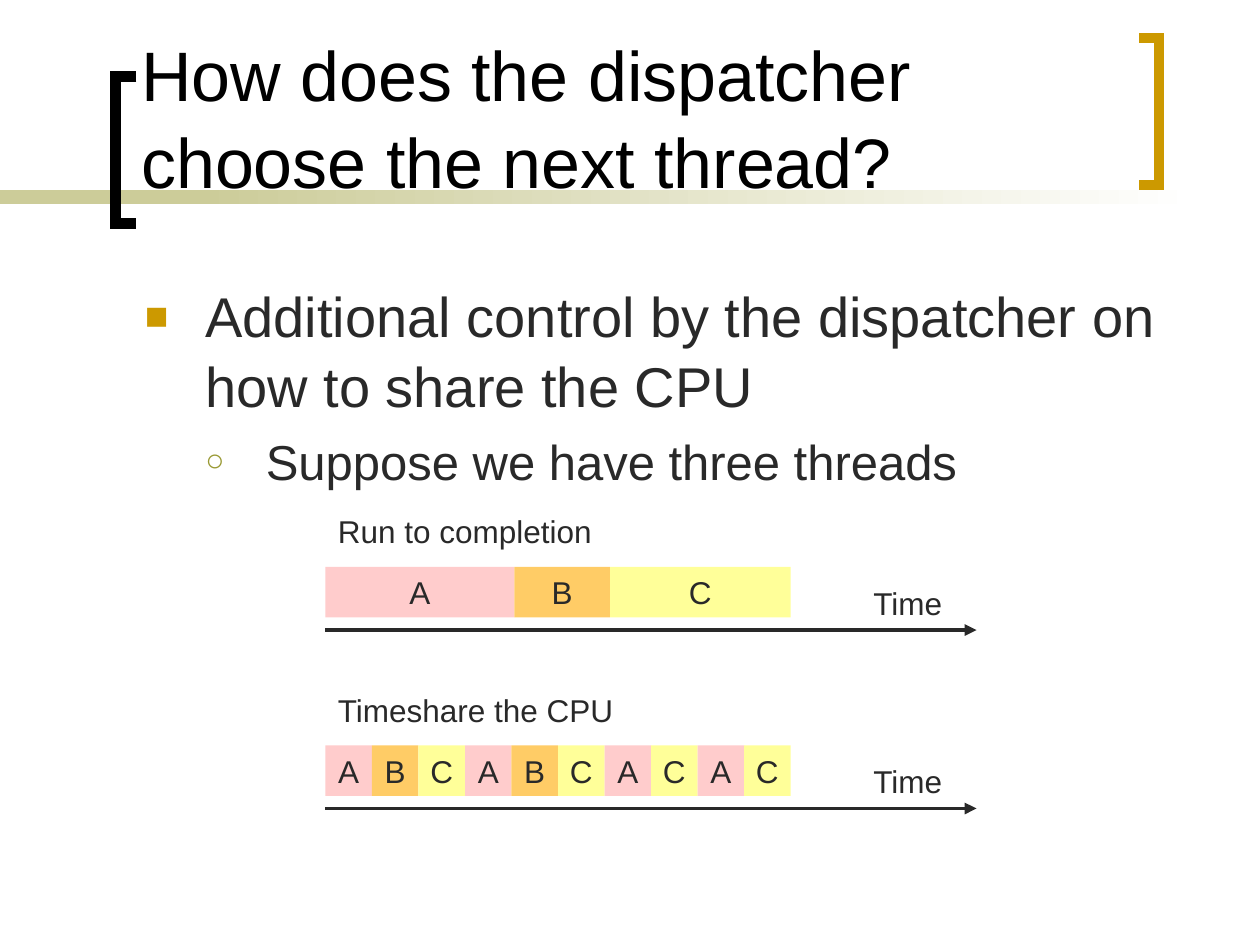
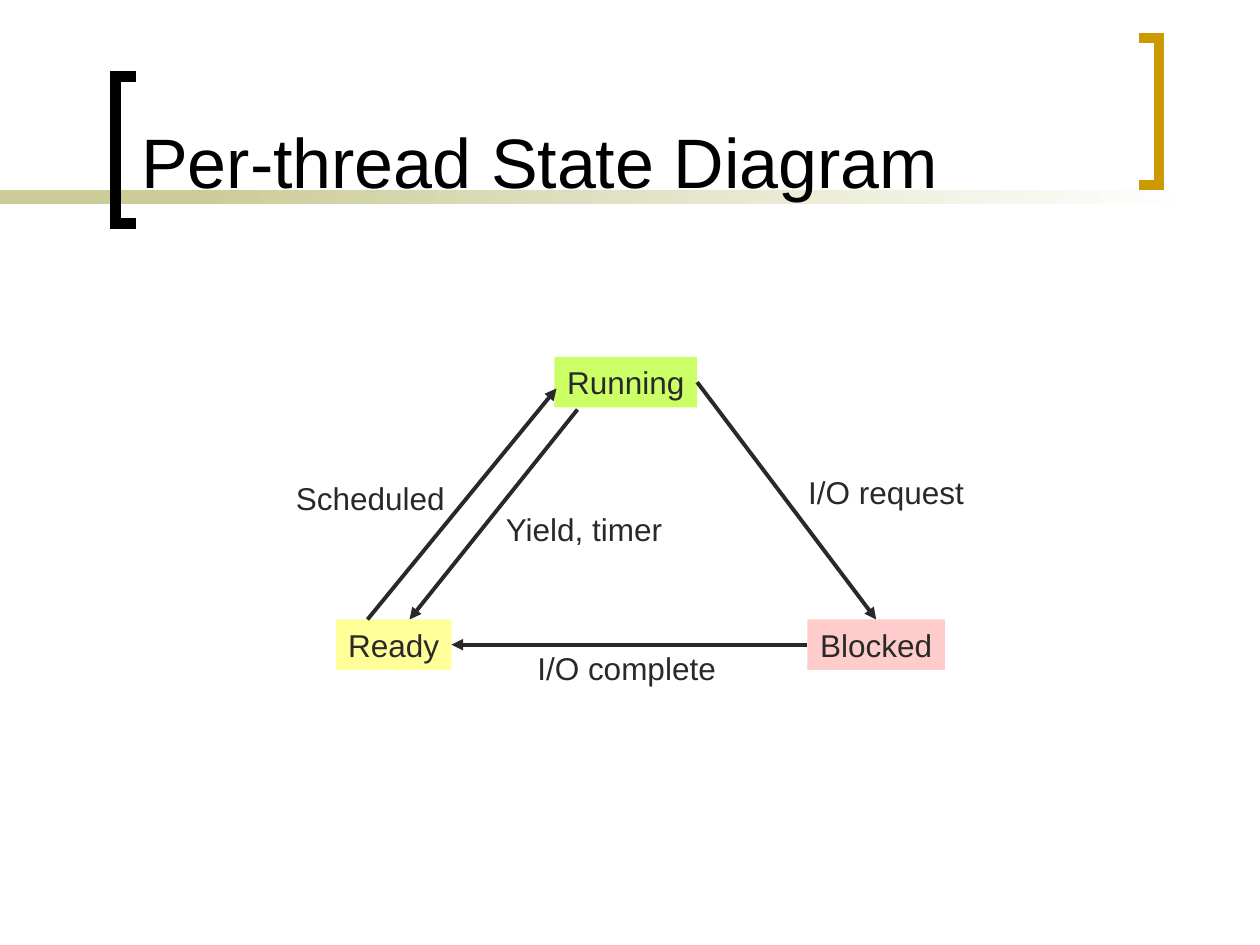
from lxml.etree import SubElement as Sub
from pptx import Presentation
from pptx.dml.color import RGBColor as RGB
from pptx.enum.shapes import MSO_CONNECTOR as CONN, MSO_SHAPE as SHAPE
from pptx.enum.text import MSO_ANCHOR as ANCHOR, MSO_AUTO_SIZE as AUTO, PP_ALIGN as ALIGN
from pptx.oxml.ns import qn
from pptx.util import Inches, Pt

BLACK = RGB(0x00, 0x00, 0x00)
INK = RGB(0x29, 0x29, 0x29)
WHITE = RGB(0xFF, 0xFF, 0xFF)
SAND = RGB(0xCC, 0xCC, 0x99)
GOLD = RGB(0xCC, 0x99, 0x00)
OLIVE = RGB(0x99, 0x99, 0x33)
PINK = RGB(0xFF, 0xCC, 0xCC)
AMBER = RGB(0xFF, 0xCC, 0x66)
LEMON = RGB(0xFF, 0xFF, 0x99)
LIME = RGB(0xCC, 0xFF, 0x66)
FONT = "Arial"

deck = Presentation()
deck.slide_width, deck.slide_height = Inches(10), Inches(7.5)
CELL = deck.slide_width / 120  # the grid has 120 columns and 90 rows
BOX_H = 4.8


def write(para, text, size, color):
    run = para.add_run()
    run.text = text
    run.font.name, run.font.size = FONT, Pt(size)
    run.font.color.rgb = color


def label(slide, text, col, row, wide, fill=None):
    """Add a one-line text, on a filled rectangle if a fill is given."""
    box = [round(n * CELL) for n in (col, row, wide, BOX_H)]
    if fill is None:
        shape = slide.shapes.add_textbox(*box)
    else:
        shape = slide.shapes.add_shape(SHAPE.RECTANGLE, *box)
        shape.shadow.inherit = False
        shape.fill.solid()
        shape.fill.fore_color.rgb = fill
        shape.line.fill.background()
    frame = shape.text_frame
    frame.word_wrap = False
    frame.vertical_anchor = ANCHOR.TOP
    para = frame.paragraphs[0]
    para.alignment = ALIGN.LEFT if fill is None else ALIGN.CENTER
    write(para, text, 18, INK)
    return shape


# Slides and titles
layout = deck.slide_layouts[5]
slides = []
for text in ("How does the dispatcher choose the next thread?", "Per-thread State Diagram"):
    slide = deck.slides.add_slide(layout)
    title = slide.shapes.title
    title.left, title.top, title.width, title.height = (
        round(n * CELL) for n in (12.25, 1.3, 94, 18.6))
    frame = title.text_frame
    frame.auto_size = AUTO.NONE
    frame.vertical_anchor = ANCHOR.BOTTOM
    para = frame.paragraphs[0]
    para.alignment, para.line_spacing = ALIGN.LEFT, 1.04
    write(para, text, 40, BLACK)
    slides.append(slide)
share, states = slides

# Band and brackets, drawn once and moved to the layout
decor = []
for col, wide, end in ((0, 28, SAND), (19, 95, WHITE)):
    band = share.shapes.add_shape(
        SHAPE.RECTANGLE, *(round(n * CELL) for n in (col, 18.1, wide, 1.35)))
    band.fill.gradient()
    band.fill.gradient_angle = 0
    for stop, color in zip(band.fill.gradient_stops, (SAND, end)):
        stop.color.rgb = color
    band.line.fill.background()
    decor.append(band)
for tip, back, top, color in ((13, 11, 7.3, BLACK), (108.5, 110.4, 3.6, GOLD)):
    low = top + 14
    first, *rest = [(round(x * CELL), round(y * CELL))
                    for x, y in ((tip, top), (back, top), (back, low), (tip, low))]
    pen = share.shapes.build_freeform(*first)
    pen.add_line_segments(rest, close=False)
    hook = pen.convert_to_shape()
    hook.fill.background()
    hook.line.color.rgb, hook.line.width = color, Pt(6)
    Sub(hook.line._get_or_add_ln(), qn("a:miter"), lim="800000")
    decor.append(hook)
for spot, shape in enumerate(decor, 2):
    shape.shadow.inherit = False
    layout.shapes.element.insert(spot, shape.element)

# Bullets
body = share.shapes.add_textbox(*(round(n * CELL) for n in (12.5, 26, 100.5, 20)))
frame = body.text_frame
frame.word_wrap = True
points = (
    ("Additional control by the dispatcher on how to share the CPU", 32, 0.49, "■", GOLD, 70),
    ("Suppose we have three threads", 28, 0.97, "○", OLIVE, 65))
for spot, (text, size, left, mark, color, scale) in enumerate(points):
    para = frame.add_paragraph() if spot else frame.paragraphs[0]
    para.level = spot
    para.line_spacing, para.space_before = 1.04, Pt(size * 0.2)
    write(para, text, size, INK)
    props = para._p.get_or_add_pPr()
    props.set("marL", str(Inches(left)))
    props.set("indent", str(Inches(-0.48)))
    Sub(Sub(props, qn("a:buClr")), qn("a:srgbClr"), val=str(color))
    Sub(props, qn("a:buSzPct"), val=str(scale * 1000))
    Sub(props, qn("a:buFont"), typeface=FONT)
    Sub(props, qn("a:buChar"), char=mark)

# Time lines: each link is slide, start, end and the joined shapes
links = []
HUES = {"A": PINK, "B": AMBER, "C": LEMON}
LEFT = 31
lanes = (("Run to completion", 26.6, "ABC", (18, 9.1, 17.2)),
         ("Timeshare the CPU", 28.8, "ABCABCACAC", (4.43,) * 10))
for lane, (text, span, names, wides) in enumerate(lanes):
    row = 54 + 17 * lane
    label(share, text, LEFT, row - 5.8, span)
    col = LEFT
    for name, wide in zip(names, wides):
        label(share, name, col, row, wide, HUES[name])
        col += wide
    label(share, "Time", 82, row + 1, 9.1)
    links.append((share, (LEFT, row + 6), (93, row + 6), None))

# Thread states
ready = label(states, "Ready", 32, 59, 11, LEMON)
runs = label(states, "Running", 52.8, 34, 13.6, LIME)
block = label(states, "Blocked", 76.9, 59, 13.1, PINK)
for text, col, row, wide in (("Scheduled", 27, 45, 16.6), ("Yield, timer", 47, 48, 17.4),
                             ("I/O request", 75.8, 44.5, 17.3),
                             ("I/O complete", 50, 61.2, 19.4)):
    label(states, text, col, row, wide)
links += [(states, (35, 59), (53, 37), None),
          (states, (55, 39), (39, 59), None),
          (states, (66, 36), (83, 59), (runs, 3, block, 0)),
          (states, (77, 61), (43, 61), (block, 1, ready, 3))]

# Arrows
for slide, start, end, join in links:
    arrow = slide.shapes.add_connector(
        CONN.STRAIGHT, *(round(n * CELL) for n in start + end))
    if join:
        arrow.begin_connect(*join[:2])
        arrow.end_connect(*join[2:])
    arrow.line.color.rgb, arrow.line.width = INK, Pt(2.25)
    Sub(arrow.line._get_or_add_ln(), qn("a:tailEnd"), type="triangle")
    Sub(arrow._element.spPr, qn("a:effectLst"))

deck.save("out.pptx")
